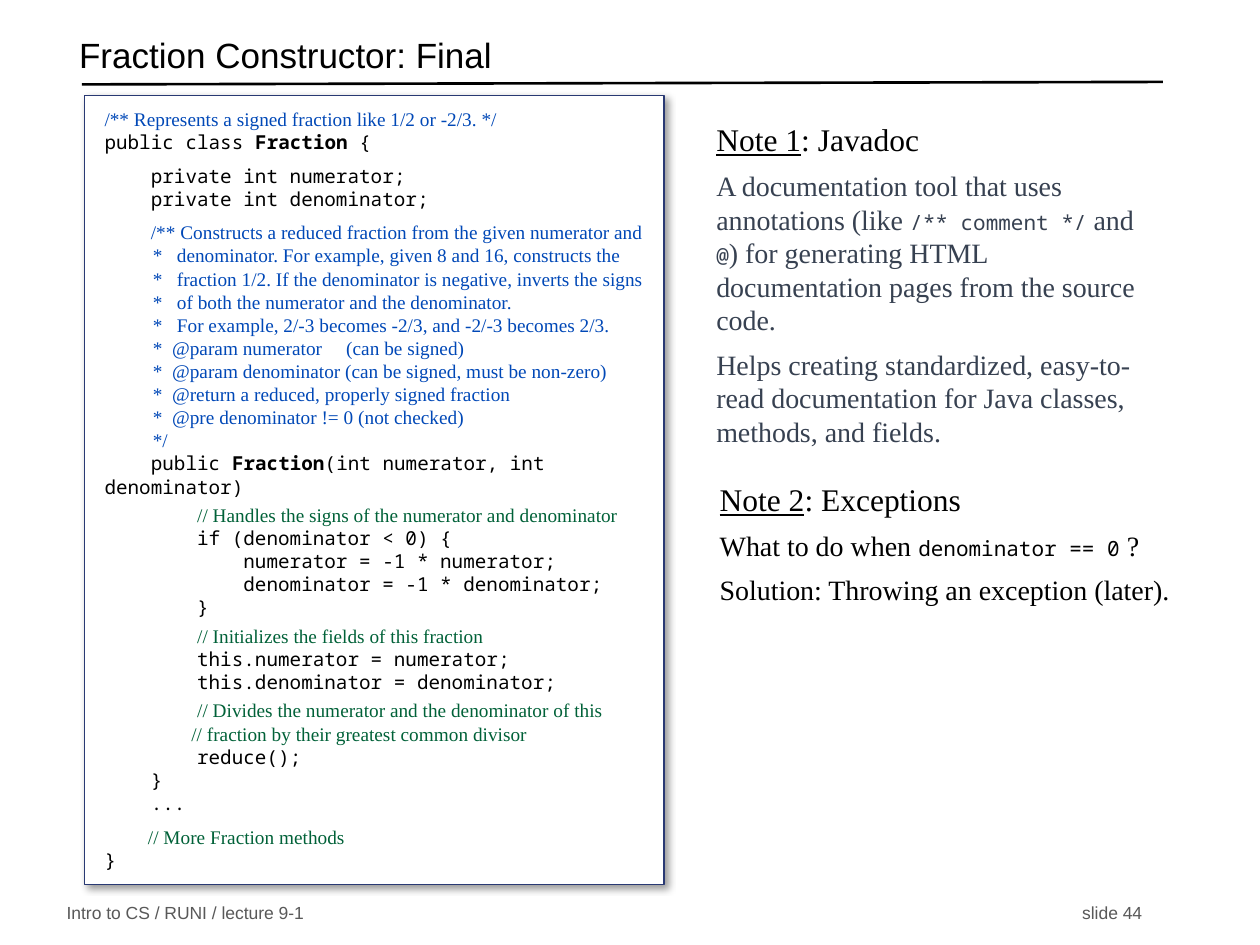
from lxml import etree
from pptx import Presentation
from pptx import util as u
from pptx.dml import color
from pptx.enum import shapes, text
from pptx.oxml import ns

SANS, SERIF, MONO = "Arial", "Times New Roman", "Noto Sans Mono"
BLACK, GRAY, SLATE = "000000", "595959", "374151"

# Each style: font, size, colour, then bold and underline where used
CODE = (MONO, 11, BLACK)
NAME = (MONO, 11, BLACK, True)
DOC = (SERIF, 11, "0048B7")
COMMENT = (SERIF, 11, "006138")
HEADING = (SERIF, 18, BLACK)
HEADING_LABEL = (SERIF, 18, BLACK, False, True)
SLATE_BODY, SLATE_CODE = (SERIF, 16, SLATE), (MONO, 12, SLATE)
BODY, BODY_CODE = (SERIF, 16, BLACK), (MONO, 12, BLACK)

# Each paragraph: space before in points, then (style, text) pieces
CLASS_CODE = [
    (0, (DOC, "/** Represents a signed fraction like 1/2 or -2/3. */")),
    (0, (CODE, "public class "), (NAME, "Fraction"), (CODE, " {")),
    (6, (CODE, "    private int numerator;")),
    (0, (CODE, "    private int denominator;")),
    (6, (CODE, "    "),
     (DOC, "/** Constructs a reduced fraction from the given numerator and")),
    (0, (DOC, "          *   denominator. For example, given 8 and 16, constructs the")),
    (0, (DOC, "          *   fraction 1/2. If the denominator is negative, inverts the signs")),
    (0, (DOC, "          *   of both the numerator and the denominator.")),
    (0, (DOC, "          *   For example, 2/-3 becomes -2/3, and -2/-3 becomes 2/3.")),
    (0, (DOC, "          *  @param numerator     (can be signed)")),
    (0, (DOC, "          *  @param denominator (can be signed, must be non-zero)")),
    (0, (DOC, "          *  @return a reduced, properly signed fraction")),
    (0, (DOC, "          *  @pre denominator != 0 (not checked)")),
    (0, (DOC, "          */")),
    (0, (CODE, "    public "), (NAME, "Fraction"),
     (CODE, "(int numerator, int denominator)")),
    (3, (CODE, "        "),
     (COMMENT, "// Handles the signs of the numerator and denominator")),
    (0, (CODE, "        if (denominator < 0) {")),
    (0, (CODE, "            numerator = -1 * numerator;")),
    (0, (CODE, "            denominator = -1 * denominator;")),
    (0, (CODE, "        }")),
    (3, (CODE, "        "), (COMMENT, "// Initializes the fields of this fraction")),
    (0, (CODE, "        this.numerator = numerator;")),
    (0, (CODE, "        this.denominator = denominator;")),
    (3, (CODE, "        "),
     (COMMENT, "// Divides the numerator and the denominator of this")),
    (0, (COMMENT, "                  // fraction by their greatest common divisor")),
    (0, (CODE, "        reduce();")),
    (0, (CODE, "    }")),
    (0, (CODE, "    ...")),
    (6, (COMMENT, "         // More Fraction methods")),
    (0, (CODE, "}")),
]
JAVADOC_NOTE = [
    (0, (HEADING_LABEL, "Note 1"), (HEADING, ": Javadoc")),
    (6, (SLATE_BODY, "A documentation tool that uses annotations (like "),
     (SLATE_CODE, "/** comment */"), (SLATE_BODY, " and "), (SLATE_CODE, "@"),
     (SLATE_BODY, ") for generating HTML documentation pages from the source code.")),
    (6, (SLATE_BODY, "Helps creating standardized, easy-to-read documentation "
                     "for Java classes, methods, and fields.")),
]
EXCEPTIONS_NOTE = [
    (0, (HEADING_LABEL, "Note 2"), (HEADING, ": Exceptions")),
    (6, (BODY, "What to do when "), (BODY_CODE, "denominator == 0"), (BODY, " ?")),
    (6, (BODY, "Solution: Throwing an exception (later).")),
]


def rgb(hex_color):
    return color.RGBColor.from_string(hex_color)


class SlideBuilder:
    def __init__(self, slide):
        self.slide = slide
        self.note_insets = (0.12, 0, 0.04, 0.05)

    def fill_text(self, frame, paragraphs, insets, anchor=text.MSO_ANCHOR.TOP):
        frame.word_wrap = True
        frame.vertical_anchor = anchor
        (frame.margin_left, frame.margin_top,
         frame.margin_right, frame.margin_bottom) = map(u.Inches, insets)
        for index, (space, *pieces) in enumerate(paragraphs):
            paragraph = frame.add_paragraph() if index else frame.paragraphs[0]
            paragraph.alignment = text.PP_ALIGN.LEFT
            paragraph.space_before = u.Pt(space)
            for style, words in pieces:
                self.add_run(paragraph, words, *style)

    def add_run(self, paragraph, words, font, size, hex_color,
                bold=False, underline=False):
        run = paragraph.add_run()
        run.text = words
        run.font.name, run.font.size = font, u.Pt(size)
        run.font.bold, run.font.underline = bold, underline
        run.font.color.rgb = rgb(hex_color)

    def text_box(self, place, paragraphs, insets):
        box = self.slide.shapes.add_textbox(*map(u.Inches, place))
        self.fill_text(box.text_frame, paragraphs, insets, text.MSO_ANCHOR.MIDDLE)
        return box.text_frame.paragraphs[0]

    def title(self, words):
        heading = self.text_box((0.53, 0.22, 8.6, 0.5),
                                [(0, ((SANS, 20, BLACK), words))],
                                (0.1, 0.05, 0.1, 0.05))
        heading.line_spacing = 0.7

    def footer(self, course, page):
        """Put course and page on one line, parted by a tab stop."""
        line = self.text_box((0.43, 7.14, 8.71, 0.21), [(0,)],
                             (0.1, 0.05, 0, 0.05))
        tabs = etree.SubElement(line._p.get_or_add_pPr(), ns.qn("a:tabLst"))
        etree.SubElement(tabs, ns.qn("a:tab"),
                         pos=str(u.Inches(8.06)), algn="l")
        line.text = f"{course}\t{page}"
        for run in line.runs:
            run.font.name, run.font.size = SANS, u.Pt(10)
            run.font.color.rgb = rgb(GRAY)

    def rule(self, start, end):
        line = self.slide.shapes.add_connector(
            shapes.MSO_CONNECTOR.STRAIGHT, *map(u.Inches, start + end))
        line.line.color.rgb = rgb(BLACK)
        line.line.width = u.Pt(1.5)
        etree.SubElement(line._element.spPr, ns.qn("a:effectLst"))

    def code_panel(self, place, paragraphs):
        panel = self.slide.shapes.add_shape(
            shapes.MSO_SHAPE.RECTANGLE, *map(u.Inches, place))
        panel.fill.solid()
        panel.fill.fore_color.rgb = rgb("FFFFFF")
        panel.line.color.rgb = rgb("293973")
        panel.line.width = u.Pt(0.75)
        self.drop_shadow(panel)
        self.fill_text(panel.text_frame, paragraphs, (0.16, 0.09, 0, 0))

    def drop_shadow(self, shape):
        shape.shadow.inherit = False
        effects = shape._element.spPr.find(ns.qn("a:effectLst"))
        shadow = etree.SubElement(
            effects, ns.qn("a:outerShdw"), blurRad=str(u.Pt(4)),
            dist=str(u.Pt(3)), dir=str(45 * 60000), algn="tl", rotWithShape="0")
        tint = etree.SubElement(shadow, ns.qn("a:srgbClr"), val=BLACK)
        etree.SubElement(tint, ns.qn("a:alpha"), val="40000")

    def note(self, place, paragraphs):
        callout = self.slide.shapes.add_shape(
            shapes.MSO_SHAPE.ROUNDED_RECTANGULAR_CALLOUT, *map(u.Inches, place))
        for index, value in enumerate((-0.04, 0.51, 0.17)):
            callout.adjustments[index] = value
        callout.shadow.inherit = False
        callout.fill.background()
        callout.line.fill.background()
        self.fill_text(callout.text_frame, paragraphs, self.note_insets)


def main():
    deck = Presentation()
    deck.slide_width, deck.slide_height = u.Inches(10), u.Inches(7.5)
    page = SlideBuilder(deck.slides.add_slide(deck.slide_layouts[6]))
    page.rule((0.65, 0.67), (9.23, 0.65))
    page.footer("Intro to CS / RUNI / lecture 9-1", "slide 44")
    page.code_panel((0.67, 0.76, 4.6, 6.26), CLASS_CODE)
    page.title("Fraction Constructor: Final")
    page.note((5.44, 0.83, 3.89, 2.51), JAVADOC_NOTE)
    page.note((5.53, 3.75, 4.06, 1.25), EXCEPTIONS_NOTE)
    deck.save("out.pptx")


if __name__ == "__main__":
    main()
